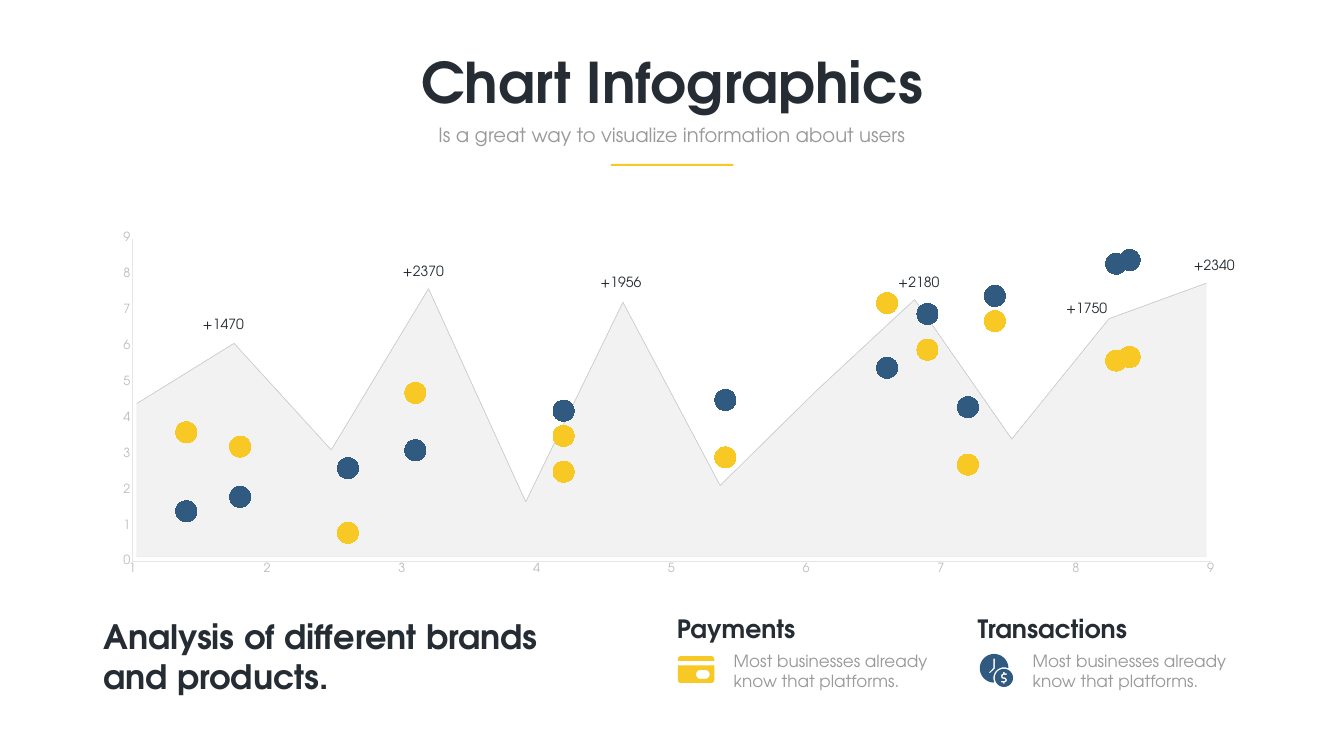
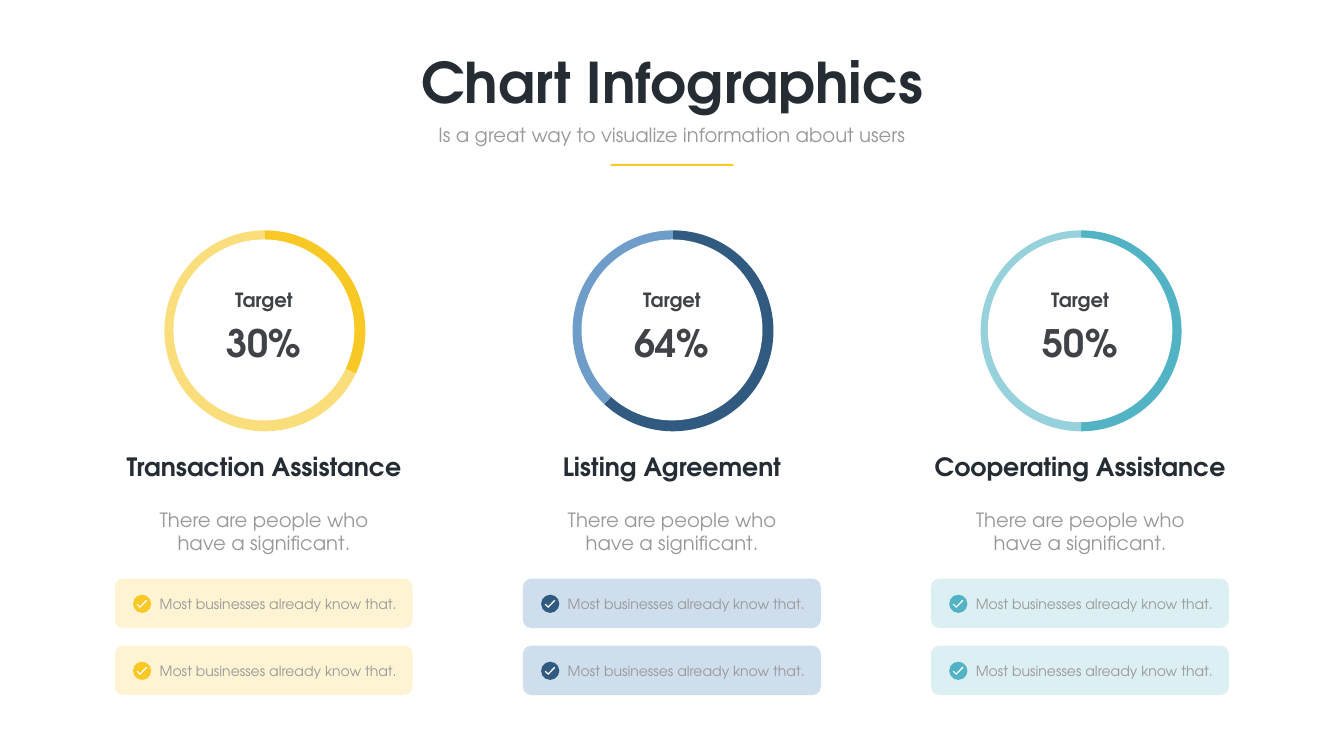
from math import cos, radians, sin

from lxml import etree
from pptx import Presentation
from pptx.chart.data import CategoryChartData, XyChartData
from pptx.dml.color import RGBColor
from pptx.enum.chart import XL_CHART_TYPE as Chart
from pptx.enum.chart import XL_MARKER_STYLE as Marker
from pptx.enum.chart import XL_TICK_MARK as Tick
from pptx.enum.shapes import MSO_SHAPE as Shape
from pptx.enum.text import MSO_ANCHOR as Anchor
from pptx.enum.text import MSO_AUTO_SIZE as AutoSize
from pptx.enum.text import PP_ALIGN as Align
from pptx.oxml.ns import qn
from pptx.util import Pt

FONT = "TeX Gyre Adventor"
INK = RGBColor(0x25, 0x2C, 0x34)
CHARCOAL = RGBColor(0x3F, 0x43, 0x47)
GREY = RGBColor(0x99, 0x99, 0x99)
AXIS_TEXT = RGBColor(0xBD, 0xBD, 0xBD)
AXIS_LINE = RGBColor(0xE6, 0xE6, 0xE6)
AREA_FILL = RGBColor(0xF2, 0xF2, 0xF2)
AREA_EDGE = RGBColor(0xEB, 0xEB, 0xEB)
AREA_TOP = RGBColor(0xD6, 0xD6, 0xD6)
WHITE = RGBColor(0xFF, 0xFF, 0xFF)
YELLOW = RGBColor(0xF8, 0xC8, 0x25)
YELLOW_MID = RGBColor(0xFB, 0xDE, 0x7C)
YELLOW_PALE = RGBColor(0xFE, 0xF4, 0xD3)
BLUE = RGBColor(0x30, 0x5A, 0x80)
BLUE_MID = RGBColor(0x6D, 0x9D, 0xC8)
BLUE_PALE = RGBColor(0xCE, 0xDE, 0xED)
TEAL = RGBColor(0x52, 0xB3, 0xC4)
TEAL_MID = RGBColor(0x97, 0xD1, 0xDC)
TEAL_PALE = RGBColor(0xDC, 0xF0, 0xF3)

DOLLAR = [(-0.7, -0.7), (0.7, -0.7), (3, 0), (4.3, 2.9), (3.5, 5.5), (0.9, 6.5), (0.9, 8.4),
          (-1.1, 8.4), (-1.1, 6.5), (-4, 6.5), (-4, 4.3), (0.9, 4.3), (2, 2.9), (0.9, 1.4),
          (-0.7, 1.4), (-3.3, 0.5), (-4.3, -2.2), (-3.5, -5), (-1.1, -6.4), (-1.1, -8.4),
          (0.9, -8.4), (0.9, -6.4), (4.3, -6.4), (4.3, -4.3), (-0.7, -4.3), (-2.1, -2.4)]
CLOCK_HANDS = [(1412.8, 960.8), (1419.1, 954), (1419.1, 941), (1421.3, 941), (1421.3, 955), (1414, 962)]
CHECK = [(-2.9, 3.6), (-6.5, 0), (-7.9, 1.1), (-2.9, 5.8), (7.2, -4.3), (5.8, -5.8)]


def arc(x, y, radius, start, end, steps=24):
    """Return points along a circular arc, with angles in degrees."""
    angles = [radians(start + (end - start) * i / steps) for i in range(steps + 1)]
    return [(x + radius * cos(a), y + radius * sin(a)) for a in angles]


def shifted(points, x, y):
    """Return the points moved by x and y."""
    return [(x + px, y + py) for px, py in points]


class Painter:
    """Holds the shared style and draws on the current slide."""

    def __init__(self):
        """Start an empty deck."""
        self.deck = Presentation()
        self.deck.slide_width, self.deck.slide_height = Pt(1920), Pt(1080)
        self.page = None

    def new_page(self, title, subtitle):
        """Add a slide with its title, subtitle and rule."""
        self.page = self.deck.slides.add_slide(self.deck.slide_layouts[5])
        holder = self.page.shapes.title
        holder.left, holder.top, holder.width, holder.height = Pt(495.4), Pt(64.8), Pt(929.5), Pt(104.4)
        self.fill_text(holder.text_frame, title, 80, INK, True, Align.CENTER)
        self.text(subtitle, 615.6, 171.4, 688.3, 41, 28, align=Align.CENTER)
        self.shape(Shape.RECTANGLE, 872.6, 234, 175, 2.9, YELLOW)

    def fill_text(self, frame, text, size, color, bold, align, middle=False, spacing=None):
        """Put one formatted run in a text frame."""
        frame.word_wrap = True
        frame.auto_size = AutoSize.SHAPE_TO_FIT_TEXT
        frame.vertical_anchor = Anchor.MIDDLE if middle else Anchor.TOP
        if middle:
            frame.margin_left = frame.margin_right = Pt(4.5)
            frame.margin_top = frame.margin_bottom = Pt(4.5)
        para = frame.paragraphs[0]
        para.alignment = align
        if spacing:
            para.line_spacing = spacing
        span = para.add_run()
        span.text = text
        self.style(span.font, size, color, bold)

    def style(self, font, size, color, bold=False):
        """Apply the deck font."""
        font.name, font.size, font.bold = FONT, Pt(size), bold
        font.color.rgb = color

    def text(self, text, x, y, width, height, size, color=GREY, bold=False,
             align=Align.LEFT, middle=False, spacing=None):
        """Add a text box."""
        box = self.page.shapes.add_textbox(Pt(x), Pt(y), Pt(width), Pt(height))
        self.fill_text(box.text_frame, text, size, color, bold, align, middle, spacing)

    def paint(self, shape, color):
        """Give a shape a flat fill without line or shadow."""
        shape.shadow.inherit = False
        shape.fill.solid()
        shape.fill.fore_color.rgb = color
        shape.line.fill.background()

    def shape(self, kind, x, y, width, height, color):
        """Add a preset shape."""
        self.paint(self.page.shapes.add_shape(kind, Pt(x), Pt(y), Pt(width), Pt(height)), color)

    def outline(self, color, *contours):
        """Add a free shape; later contours cut holes."""
        loops = [[(Pt(x), Pt(y)) for x, y in contour] for contour in contours]
        builder = self.page.shapes.build_freeform(*loops[0][0])
        builder.add_line_segments(loops[0][1:])
        for loop in loops[1:]:
            builder.move_to(*loop[0])
            builder.add_line_segments(loop[1:])
        self.paint(builder.convert_to_shape(), color)

    def chart(self, kind, data, x, y, width, height, inner, size):
        """Add a bare chart whose inner plot area takes the given fractions."""
        frame = self.page.shapes.add_chart(kind, Pt(x), Pt(y), Pt(width), Pt(height), data)
        chart = frame.chart
        chart.has_title = chart.has_legend = False
        chart.plots[0].vary_by_categories = False
        self.style(chart.font, size, GREY)
        area = chart.element.find(".//" + qn("c:plotArea"))
        for old in area.findall(qn("c:layout")):
            area.remove(old)
        layout = etree.Element(qn("c:layout"))
        manual = etree.SubElement(layout, qn("c:manualLayout"))
        settings = [("layoutTarget", "inner"), ("xMode", "edge"), ("yMode", "edge")]
        for name, value in settings + list(zip("xywh", inner)):
            etree.SubElement(manual, qn("c:" + name)).set("val", str(value))
        area.insert(0, layout)
        return chart

    def area_chart(self):
        """Draw the grey mountain area."""
        data = CategoryChartData()
        data.categories = [str(n) for n in range(1, 13)]
        data.add_series("Series 1", [56, 78, 39, 98, 20, 93, 26, 61, 94, 43, 87, 100])
        data.add_series("Series 2", [None] * 12)
        chart = self.chart(Chart.AREA_STACKED, data, 91.4, 352, 1736, 452.2, (0.06, 0.03, 0.88, 0.95), 20)
        for axis in (chart.category_axis, chart.value_axis):
            axis.has_major_gridlines = False
            axis.visible = False
        chart.value_axis.minimum_scale, chart.value_axis.maximum_scale = 0, 110
        chart.element.find(".//" + qn("c:crossBetween")).set("val", "midCat")
        for series, fill, line in zip(chart.plots[0].series, (AREA_FILL, BLUE), (AREA_EDGE, AREA_TOP)):
            series.format.fill.solid()
            series.format.fill.fore_color.rgb = fill
            series.format.line.color.rgb = line
            series.format.line.width = Pt(0.75)

    def scatter_chart(self):
        """Draw the two sets of dots with their axes."""
        across = [7.2, 1.8, 2.6, 4.2, 3.1, 1.4, 4.2, 8.3, 7.4, 6.9, 8.4, 5.4, 6.6]
        heights = [[2.7, 3.2, 0.8, 2.5, 4.7, 3.6, 3.5, 5.6, 6.7, 5.9, 5.7, 2.9, 7.2],
                   [4.3, 1.8, 2.6, 4.2, 3.1, 1.4, 4.2, 8.3, 7.4, 6.9, 8.4, 4.5, 5.4]]
        data = XyChartData(number_format="General")
        for number, values in enumerate(heights, 1):
            series = data.add_series(f"Series {number}")
            for x, y in zip(across, values):
                series.add_data_point(x, y)
        chart = self.chart(Chart.XY_SCATTER, data, 140.4, 320.4, 1621.4, 512.6,
                           (0.03, 0.04, 0.95, 0.9), 18)
        for axis, low in ((chart.category_axis, 1), (chart.value_axis, 0)):
            axis.has_major_gridlines = False
            axis.minimum_scale, axis.maximum_scale, axis.major_unit = low, 9, 1
            axis.major_tick_mark = axis.minor_tick_mark = Tick.NONE
            axis.format.line.color.rgb = AXIS_LINE
            axis.format.line.width = Pt(0.75)
            self.style(axis.tick_labels.font, 18, AXIS_TEXT)
        for series, color in zip(chart.plots[0].series, (YELLOW, BLUE)):
            series.format.line.fill.background()
            series.marker.style, series.marker.size = Marker.CIRCLE, 30
            series.marker.format.fill.solid()
            series.marker.format.fill.fore_color.rgb = color
            series.marker.format.line.fill.background()

    def ring(self, center, share, colors, hole):
        """Draw a two-part pie with a white centre."""
        data = CategoryChartData()
        data.categories = ["1", "2"]
        data.add_series("Series 1", [share, 100 - share])
        chart = self.chart(Chart.PIE, data, center - 145, 326.2, 290, 290, (0.01, 0.01, 0.99, 0.99), 10)
        chart.font.name = "Calibri"
        for index, color in enumerate(colors):
            part = chart.plots[0].series[0].points[index].format
            part.fill.solid()
            part.fill.fore_color.rgb = color
            part.line.fill.background()
        self.shape(Shape.OVAL, center - hole / 2, 471.3 - hole / 2, hole, hole, WHITE)

    def card_icon(self):
        """Draw the payment card."""
        left, right = 968.4, 1020.4
        self.outline(YELLOW, arc(left + 4.3, 941.7, 4.3, 180, 270) + arc(right - 4.3, 941.7, 4.3, 270, 360)
                     + [(right, 944), (left, 944)])
        self.outline(YELLOW, [(left, 950.4), (right, 950.4)] + arc(right - 4.3, 971.3, 4.3, 0, 90)
                     + arc(left + 4.3, 971.3, 4.3, 90, 180),
                     arc(1007.3, 963.4, 6.5, -90, 90) + arc(1000.8, 963.4, 6.5, 90, 270))

    def clock_icon(self):
        """Draw the clock with a coin in front."""
        coin = (1434.2, 968.4)
        self.outline(BLUE, arc(1420.2, 954.7, 20.5, 92, 357) + arc(*coin, 15.1, 290, 161), CLOCK_HANDS)
        self.outline(BLUE, arc(*coin, 13, 0, 360), shifted(DOLLAR, *coin))

    def check_bar(self, center, top, color, pale):
        """Draw a rounded bar with a check badge and its text."""
        self.shape(Shape.ROUNDED_RECTANGLE, center - 213, top, 425.5, 70.6, pale)
        self.shape(Shape.OVAL, center - 187, top + 23, 26, 26, color)
        self.outline(WHITE, shifted(CHECK, center - 174, top + 36))
        self.text("Most businesses already know that.", center - 156, top + 20, 360, 31.7, 20)


def draw_brands(painter):
    """Build the slide with area and scatter charts."""
    painter.area_chart()
    labels = [("+1470", 279.4, 446.4), ("+2370", 565.2, 371.5), ("+1956", 847.4, 386.6),
              ("+2180", 1273, 386.6), ("+2340", 1694.9, 362.9)]
    for label, x, y in labels:
        painter.text(label, x, y, 79.2, 31.7, 20, INK, align=Align.CENTER, middle=True)
    painter.scatter_chart()
    painter.text("+1750", 1507, 424, 79.2, 31.7, 20, INK, align=Align.RIGHT, middle=True)
    painter.text("Analysis of different brands and products.", 140.4, 876.2, 658, 123.8, 48, INK, True)
    painter.card_icon()
    painter.clock_icon()
    for heading, left, indent in (("Payments", 959.8, 81.3), ("Transactions", 1389.6, 78.5)):
        painter.text(heading, left, 871.9, 238.3, 51.1, 36, INK, True)
        painter.text("Most businesses already know that platforms.", left + indent, 925.9, 300.2, 65.5, 24)


def draw_targets(painter):
    """Build the slide with three target rings."""
    columns = [("Transaction Assistance", "30%", 32, 258.5, YELLOW, YELLOW_MID, YELLOW_PALE),
               ("Listing Agreement", "64%", 62, 258.5, BLUE, BLUE_MID, BLUE_PALE),
               ("Cooperating Assistance", "50%", 50, 263.5, TEAL, TEAL_MID, TEAL_PALE)]
    for index, (heading, target, share, hole, color, mid, pale) in enumerate(columns):
        center = 377 + 583 * index
        painter.ring(center, share, (color, mid), hole)
        painter.text("Target", center - 118, 416.2, 236, 32.4, 28, CHARCOAL, True, Align.CENTER, True, 0.7)
        painter.text(target, center - 118, 452.9, 236, 73.4, 54, CHARCOAL, True, Align.CENTER, True)
        painter.text(heading, center - 238.7, 640.8, 477.4, 51.1, 36, INK, True, Align.CENTER)
        painter.text("There are people who have a significant.", center - 177, 721.4, 354, 74.9, 28,
                     align=Align.CENTER)
        for row in range(2):
            painter.check_bar(center, 826.6 + 95.7 * row, color, pale)


def main():
    """Build and save the deck."""
    painter = Painter()
    for draw in (draw_brands, draw_targets):
        painter.new_page("Chart Infographics", "Is a great way to visualize information about users")
        draw(painter)
    painter.deck.save("out.pptx")


if __name__ == "__main__":
    main()
